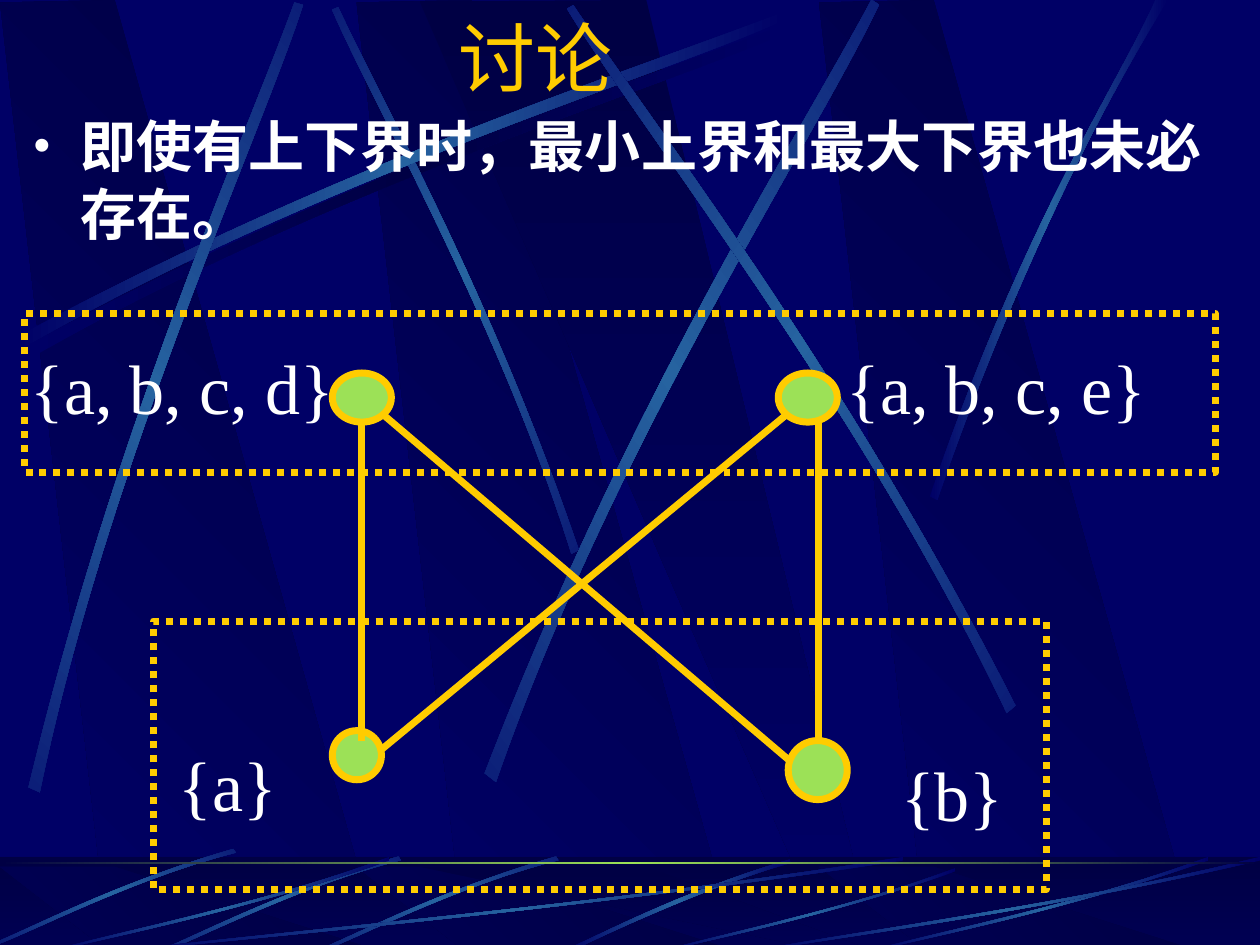
from math import cos, radians, sin

from lxml.etree import SubElement
from pptx import Presentation
from pptx.dml.color import RGBColor
from pptx.enum.dml import MSO_LINE
from pptx.enum.shapes import MSO_CONNECTOR, MSO_SHAPE
from pptx.enum.text import MSO_ANCHOR, PP_ALIGN
from pptx.oxml.ns import qn
from pptx.util import Cm, Pt

NAVY = RGBColor(0x00, 0x00, 0x66)
DARK = RGBColor(0x00, 0x00, 0x44)
STEEL = RGBColor(0x26, 0x63, 0xA0)
LIME = RGBColor(0x9C, 0xE1, 0x57)
GOLD = RGBColor(0xFF, 0xCC, 0x00)
WHITE = RGBColor(0xFF, 0xFF, 0xFF)

FADE = [DARK, NAVY]
GLOW = [NAVY, STEEL, NAVY]
SHADE = [NAVY, DARK, NAVY]

# Backdrop points lie on a grid ten units wide.
# A ray is a start, a curve, a line and a curve back: eight points.
PANELS = (0, 2.83, 6.5)
SKY = [(0.86, 7.5), (3.02, 7.52), (0.91, 0), (0, 0.02)]
SLOPE = [(3.33, 0.01), (6.58, 7.51), (6.94, 7.51), (5.13, 0)]
BASE = [(0.86, 7.55), (3.02, 7.55), (0.91, 6.88), (0, 6.88)]
RAMP = [(3.33, 6.88), (6.58, 7.55), (6.94, 7.55), (5.13, 6.88)]
BEAM = [(0.14, 2.67), (2.78, 1.25), (5.18, 0.51), (6.2, 0.1),
        (6.23, 0.16), (5.22, 0.61), (2.48, 1.43), (0.17, 2.77)]
# Points, turn in degrees, centre of the turn
RAYS = [
    ([(4.6, 4.36), (3.91, 2.34), (3.02, 0.77), (2.69, 0.05),
      (2.64, 0.07), (2.95, 0.79), (3.98, 2.58), (4.54, 4.39)], 45, (3.62, 2.23)),
    (BEAM, 0, (0, 0)),
    ([(0.23, 6.25), (0.93, 3.34), (1.97, 1.05), (2.34, 0.02),
      (2.41, 0.04), (2.07, 1.09), (0.86, 3.68), (0.32, 6.29)], 311.7, (1.33, 3.15)),
    ([(3.85, 6.14), (4.98, 3.2), (6.38, 1.02), (6.92, 0),
      (6.98, 0.04), (6.49, 1.08), (4.86, 3.55), (3.94, 6.21)], 321.6, (5.43, 3.1)),
    ([(8.06, 5.6), (6.7, 2.93), (5.16, 0.95), (4.55, 0.04),
      (4.5, 0.07), (5.07, 1.01), (6.85, 3.25), (7.99, 5.66)], 34.8, (6.27, 2.85)),
    ([(7.38, 3.94), (8.14, 1.73), (8.88, 0.66), (9.17, 0),
      (9.27, 0), (8.36, 1.45), (7.69, 3.22), (7.44, 3.97)], 0, (0, 0)),
]
ARC = [(6.27, 6.82), (5.37, 7.09), (4.77, 7.42), (4.48, 7.54),
       (4.53, 7.55), (4.9, 7.37), (5.71, 7), (6.28, 6.85)]
BLADE = [(4.42, 6.8), (3.55, 7.05), (2.87, 7.4), (2.56, 7.53),
         (2.57, 7.55), (2.88, 7.43), (3.65, 7.03), (4.44, 6.83)]
# Parts of a box, then the boxes it fills
SWOOP = [(1, 0.04), (0.57, 0.57), (0.17, 0.85), (0, 1),
         (0, 0.99), (0.17, 0.81), (0.62, 0.51), (1, 0)]
SWEEPS = [(1, 6.8, 6.17, 0.75), (0.42, 6.8, 2.67, 0.75), (5.27, 6.89, 2.31, 0.66),
          (6.92, 6.8, 2.67, 0.75), (6, 6.8, 4, 0.75)]


def shift(pts, dx, dy=0):
    return [(x + dx, y + dy) for x, y in pts]


def turn(pts, angle, mid):
    c, s = cos(radians(angle)), sin(radians(angle))
    mx, my = mid
    return [(mx + (x - mx) * c - (y - my) * s, my + (x - mx) * s + (y - my) * c)
            for x, y in pts]


def bend(shape):
    """Turn the first and last three lines of an outline into curves."""
    lines = list(shape.element.iter(qn("a:lnTo")))
    for trio in (lines[:3], lines[4:7]):
        arc = trio[0]
        arc.tag = qn("a:cubicBezTo")
        for line in trio[1:]:
            arc.append(line[0])
            line.getparent().remove(line)


def blend(shape, colors, angle):
    """Fill with evenly spaced colours along a clockwise angle."""
    shape.fill.gradient()
    grad = shape.element.spPr.find(qn("a:gradFill"))
    stops = grad.find(qn("a:gsLst"))
    stops.clear()
    for i, color in enumerate(colors):
        stop = SubElement(stops, qn("a:gs"), pos=str(100000 * i // (len(colors) - 1)))
        SubElement(stop, qn("a:srgbClr"), val=str(color))
    grad.find(qn("a:lin")).set("ang", str(angle * 60000))


def backdrop(slide, left, top, width):
    unit = width / 10

    def place(x, y):
        return left + x * unit, top + y * unit

    def facet(pts, colors, angle):
        first, *rest = [place(*p) for p in pts]
        pen = slide.shapes.build_freeform(*first)
        pen.add_line_segments(rest, close=True)
        shape = pen.convert_to_shape()
        shape.shadow.inherit = False
        shape.line.fill.background()
        blend(shape, colors, angle)
        return shape

    def ray(pts, colors=GLOW, angle=0, mid=(0, 0)):
        shape = facet(turn(pts, -angle, mid), colors, 0)
        shape.rotation = angle
        bend(shape)

    def band(y, height):
        x, y = place(0, y)
        shape = slide.shapes.add_shape(
            MSO_SHAPE.RECTANGLE, int(x), int(y), width, int(height * unit))
        shape.shadow.inherit = False
        shape.line.fill.background()
        return shape

    # Sky
    for dx in (PANELS[1], PANELS[0], PANELS[2]):
        facet(shift(SKY, dx), FADE, 135)
    facet(SLOPE, FADE, 90)
    ray(shift(BEAM, 0.06, 0.08), SHADE)
    for pts, angle, mid in RAYS:
        ray(pts, GLOW, angle, mid)

    # Floor
    blend(band(6.8, 0.75), FADE, 90)
    for dx in PANELS:
        facet(shift(BASE, dx), FADE, 135)
    facet(RAMP, FADE, 90)
    veil = band(6.8, 0.75)
    veil.fill.solid()
    veil.fill.fore_color.rgb = DARK
    SubElement(veil.element.spPr.find(".//" + qn("a:srgbClr")), qn("a:alpha"), val="50000")
    ray(ARC)
    for dx, dy in ((0, 0), (-1.25, 0), (-2.56, -0.06)):
        ray(shift(BLADE, dx, dy), GLOW, 314.9, (3.5 + dx, 7.17 + dy))
    for x, y, w, h in SWEEPS:
        ray([(x + p * w, y + q * h) for p, q in SWOOP])

    # Horizon
    blend(band(6.84, 0.02), [DARK, LIME, DARK], 0)


def style(para, font, size, color, bold=False):
    for run in para.runs:
        run.font.name = font
        run.font.size = Pt(size)
        run.font.color.rgb = color
        run.font.bold = bold


def heading(slide, left, top, width, height):
    title = slide.shapes.title
    title.left, title.top, title.width, title.height = left, top, width, height
    title.element.getparent().append(title.element)  # in front of the backdrop
    title.text_frame.text = "讨论"
    title.text_frame.vertical_anchor = MSO_ANCHOR.MIDDLE
    para = title.text_frame.paragraphs[0]
    para.alignment = PP_ALIGN.CENTER
    style(para, "Montserrat", 44, GOLD)


def claim(slide, left, top, width, height):
    frame = slide.shapes.add_textbox(left, top, width, height).text_frame
    frame.word_wrap = True
    frame.text = "即使有上下界时，最小上界和最大下界也未必存在。"
    para = frame.paragraphs[0]
    props = para._p.get_or_add_pPr()
    props.set("marL", str(Cm(0.95)))
    props.set("indent", str(-Cm(0.95)))
    SubElement(SubElement(props, qn("a:buClr")), qn("a:srgbClr"), val=str(WHITE))
    SubElement(props, qn("a:buSzPct"), val="85000")
    SubElement(props, qn("a:buFont"), typeface="Arial")
    SubElement(props, qn("a:buChar"), char="•")
    style(para, "Arial", 32, WHITE, True)


def diagram(slide, left, top):
    def spot(x, y):
        return left + Cm(x), top + Cm(y)

    def outline(kind, x, y, w, h):
        shape = slide.shapes.add_shape(kind, *spot(x, y), Cm(w), Cm(h))
        shape.shadow.inherit = False
        shape.line.color.rgb = GOLD
        shape.line.width = Pt(4)
        return shape

    # Nodes
    for box in ((6.2, 8.41, 0.99, 0.99), (15.39, 8.61, 1.19, 1.19),
                (6.2, 1.2, 1.19, 0.99), (15.19, 1.2, 1.19, 0.99)):
        node = outline(MSO_SHAPE.OVAL, *box)
        node.fill.solid()
        node.fill.fore_color.rgb = LIME

    # Edges
    for x1, y1, x2, y2 in ((6.79, 2.21, 6.79, 8.61), (7.19, 8.79, 15.39, 2.01),
                           (16, 2.21, 16, 8.61), (7.19, 2.01, 15.39, 8.99)):
        edge = slide.shapes.add_connector(
            MSO_CONNECTOR.STRAIGHT, *spot(x1, y1), *spot(x2, y2))
        edge.line.color.rgb = GOLD
        edge.line.width = Pt(4)
        SubElement(edge.element.spPr, qn("a:effectLst"))

    # Labels
    for text, x, y, w in (("{a, b, c, d}", -0.07, 0.2, 6.5), ("{a, b, c, e}", 16.34, 0.2, 6.5),
                          ("{a}", 2.59, 8.2, 3), ("{b}", 17.2, 8.41, 3)):
        frame = slide.shapes.add_textbox(*spot(x, y), Cm(w), Cm(2.54)).text_frame
        frame.margin_left = frame.margin_right = 0
        frame.word_wrap = False
        frame.vertical_anchor = MSO_ANCHOR.MIDDLE
        frame.text = text
        frame.paragraphs[0].alignment = PP_ALIGN.CENTER
        style(frame.paragraphs[0], "Times New Roman", 40, WHITE)

    # Dotted frames
    for box in ((2.59, 6.2, 18, 5.41), (0, 0, 24, 3.2)):
        ring = outline(MSO_SHAPE.RECTANGLE, *box)
        ring.fill.background()
        ring.line.dash_style = MSO_LINE.ROUND_DOT


def main():
    prs = Presentation()
    prs.slide_width, prs.slide_height = Cm(25.4), Cm(19.05)
    slide = prs.slides.add_slide(prs.slide_layouts[5])
    slide.background.fill.solid()
    slide.background.fill.fore_color.rgb = NAVY
    backdrop(slide, 0, 0, prs.slide_width)
    heading(slide, 0, 0, Cm(21.59), Cm(2.29))
    claim(slide, Cm(0.43), Cm(2.13), Cm(24.56), Cm(14.81))
    diagram(slide, Cm(0.5), Cm(6.32))
    prs.save("out.pptx")


if __name__ == "__main__":
    main()
